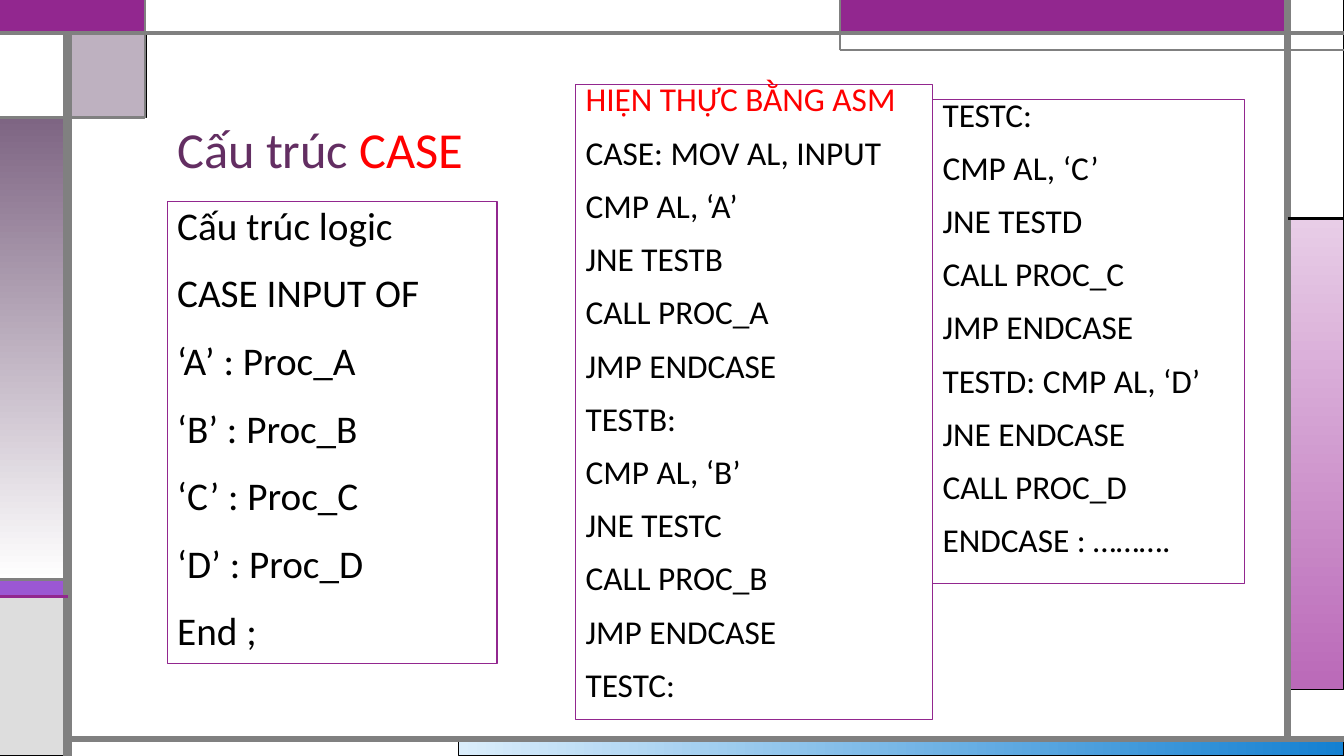
import pptx
import pptx.util
import pptx.dml.color
import pptx.enum.shapes
import pptx.enum.text
import pptx.oxml
import pptx.oxml.ns

Inches, Pt = pptx.util.Inches, pptx.util.Pt
W, H = 13.33, 7.5
RAIL_L, RAIL_R, RAIL_T, RAIL_B = 0.67, 12.77, 0.33, 7.33
TAB_L, TAB_R, TAB_B = 1.44, 8.33, 1.17
PURPLE, GRAY, BLACK, WHITE, RED = "92278F", "808080", "000000", "FFFFFF", "FF0000"

PANELS = [
    (4.55, RAIL_B, W, H, ("DAEDFB", "1480D1", 0), BLACK, 0.75),
    (RAIL_R, 2.17, W, 6.84, ("E8CDE7", "BA69B8", 90), BLACK, 0.75),
    (0, 5.75, RAIL_L, 5.92, "9B57D3", BLACK, 0.75),
    (0, 5.92, RAIL_L, H, "DDDDDD", BLACK, 0.75),
    (RAIL_R, 0, W, 2.17, WHITE, BLACK, 0.75),
    (TAB_R, 0, RAIL_R, RAIL_T, PURPLE, "755DD9", 0.75),
    (RAIL_L, RAIL_T, 1.45, TAB_B, ("7E6583", 50), BLACK, 0.75),
    (0, TAB_B, RAIL_L, 5.75, ("7E6583", WHITE, 90), BLACK, 0.75),
    (0, RAIL_T, RAIL_L, TAB_B, WHITE, BLACK, 0.75),
    (0, 0, TAB_L, RAIL_T, PURPLE, PURPLE, 1.5),
    (TAB_L, 0, TAB_R, RAIL_T, WHITE, GRAY, 0.75),
]
RULES = [
    (RAIL_L, H, RAIL_L, RAIL_T, GRAY, 6),
    (RAIL_L, RAIL_B, W, RAIL_B, GRAY, 4.5),
    (RAIL_R, RAIL_B, RAIL_R, 0, GRAY, 4.5),
    (0, RAIL_T, W, RAIL_T, GRAY, 3),
    (W, 0.5, TAB_R, 0.5, GRAY, 1.5),
    (TAB_R, 0.5, TAB_R, 0, GRAY, 1.5),
    (RAIL_R, 2.17, W, 2.17, BLACK, 2.25),
    (TAB_L, 0, TAB_L, TAB_B, GRAY, 1.5),
    (TAB_L, TAB_B, 0, TAB_B, GRAY, 2.25),
    (RAIL_L, 5.75, 0, 5.75, GRAY, 2.25),
    (RAIL_L, 5.92, 0, 5.92, PURPLE, 2.25),
]
LOGIC = ["Cấu trúc logic", "CASE INPUT OF", "‘A’ : Proc_A", "‘B’ : Proc_B",
         "‘C’ : Proc_C", "‘D’ : Proc_D", "End ;"]
ASM_AB = ["CASE: MOV AL, INPUT", "CMP AL, ‘A’", "JNE TESTB", "CALL PROC_A",
          "JMP ENDCASE", "TESTB:", "CMP AL, ‘B’", "JNE TESTC", "CALL PROC_B",
          "JMP ENDCASE", "TESTC:"]
ASM_CD = ["TESTC:", "CMP AL, ‘C’", "JNE TESTD", "CALL PROC_C", "JMP ENDCASE",
          "TESTD: CMP AL, ‘D’", "JNE ENDCASE", "CALL PROC_D", "ENDCASE : ………."]


def rgb(value):
    return pptx.dml.color.RGBColor.from_string(value)


def apply(target, formats):
    for name, value in formats.items():
        setattr(target, name, value)


class Deck:
    """Holds the text style and the current slide, and draws elements on it."""

    def __init__(self, prs, font):
        self.s = prs.slides.add_slide(prs.slide_layouts[6])
        self.font = font

    def outline(self, line, color, width):
        line.color.rgb = rgb(color)
        line.width = Pt(width)

    def panel(self, x1, y1, x2, y2, fill, color, width):
        sp = self.s.shapes.add_shape(
            pptx.enum.shapes.MSO_SHAPE.RECTANGLE,
            Inches(x1), Inches(y1), Inches(x2 - x1), Inches(y2 - y1))
        sp.shadow.inherit = False
        self.outline(sp.line, color, width)
        if len(fill) == 3:
            sp.fill.gradient()
            sp.fill.gradient_angle = -fill[2] % 360
            for stop, shade in zip(sp.fill.gradient_stops, fill):
                stop.color.rgb = rgb(shade)
            return
        shade, opacity = fill if len(fill) == 2 else (fill, 100)
        sp.fill.solid()
        sp.fill.fore_color.rgb = rgb(shade)
        if opacity < 100:
            clr = sp.fill._xPr.find(".//" + pptx.oxml.ns.qn("a:srgbClr"))
            alpha = pptx.oxml.parse_xml(
                f'<a:alpha {pptx.oxml.ns.nsdecls("a")} val="{opacity * 1000}"/>')
            clr.append(alpha)

    def rule(self, x1, y1, x2, y2, color, width):
        ln = self.s.shapes.add_connector(
            pptx.enum.shapes.MSO_CONNECTOR.STRAIGHT,
            Inches(x1), Inches(y1), Inches(x2), Inches(y2))
        self.outline(ln.line, color, width)
        ln._element.spPr.append(pptx.oxml.parse_xml(
            f'<a:effectLst {pptx.oxml.ns.nsdecls("a")}/>'))

    def text(self, x, y, w, h, paragraphs, size, spacing, border=None,
             anchor=pptx.enum.text.MSO_ANCHOR.TOP):
        sp = self.s.shapes.add_textbox(Inches(x), Inches(y), Inches(w), Inches(h))
        if border:
            self.outline(sp.line, border, 0.75)
        tf = sp.text_frame
        apply(tf, {"word_wrap": True, "vertical_anchor": anchor})
        for i, runs in enumerate(paragraphs):
            p = tf.add_paragraph() if i else tf.paragraphs[0]
            apply(p, spacing)
            for content, color in runs:
                r = p.add_run()
                r.text = content
                apply(r.font, {"name": self.font, "size": Pt(size)})
                r.font.color.rgb = rgb(color)


def main():
    prs = pptx.Presentation()
    apply(prs, {"slide_width": Inches(W), "slide_height": Inches(H)})
    deck = Deck(prs, "Calibri")
    for panel in PANELS:
        deck.panel(*panel)
    for rule in RULES:
        deck.rule(*rule)

    logic, ab, cd = ([[(line, BLACK)] for line in lines]
                     for lines in (LOGIC, ASM_AB, ASM_CD))
    heading = [("HIỆN THỰC BẰNG ASM", RED)]
    loose = {"line_spacing": 0.9, "space_before": Pt(18)}
    tight = {"line_spacing": 0.7, "space_before": Pt(18)}
    deck.text(1.66, 2, 3.27, 4.58, logic, 28, loose, PURPLE)
    deck.text(1.66, 0.58, 10.5, 1.25, [[("Cấu trúc ", "632E62"), ("CASE", RED)]],
              36, {"line_spacing": 0.9}, anchor=pptx.enum.text.MSO_ANCHOR.BOTTOM)
    deck.text(5.71, 0.84, 3.54, 6.3, [heading] + ab, 23.8, tight, PURPLE)
    deck.text(9.25, 0.99, 3.09, 4.8, cd, 23.8, tight, PURPLE)
    prs.save("out.pptx")


if __name__ == "__main__":
    main()
